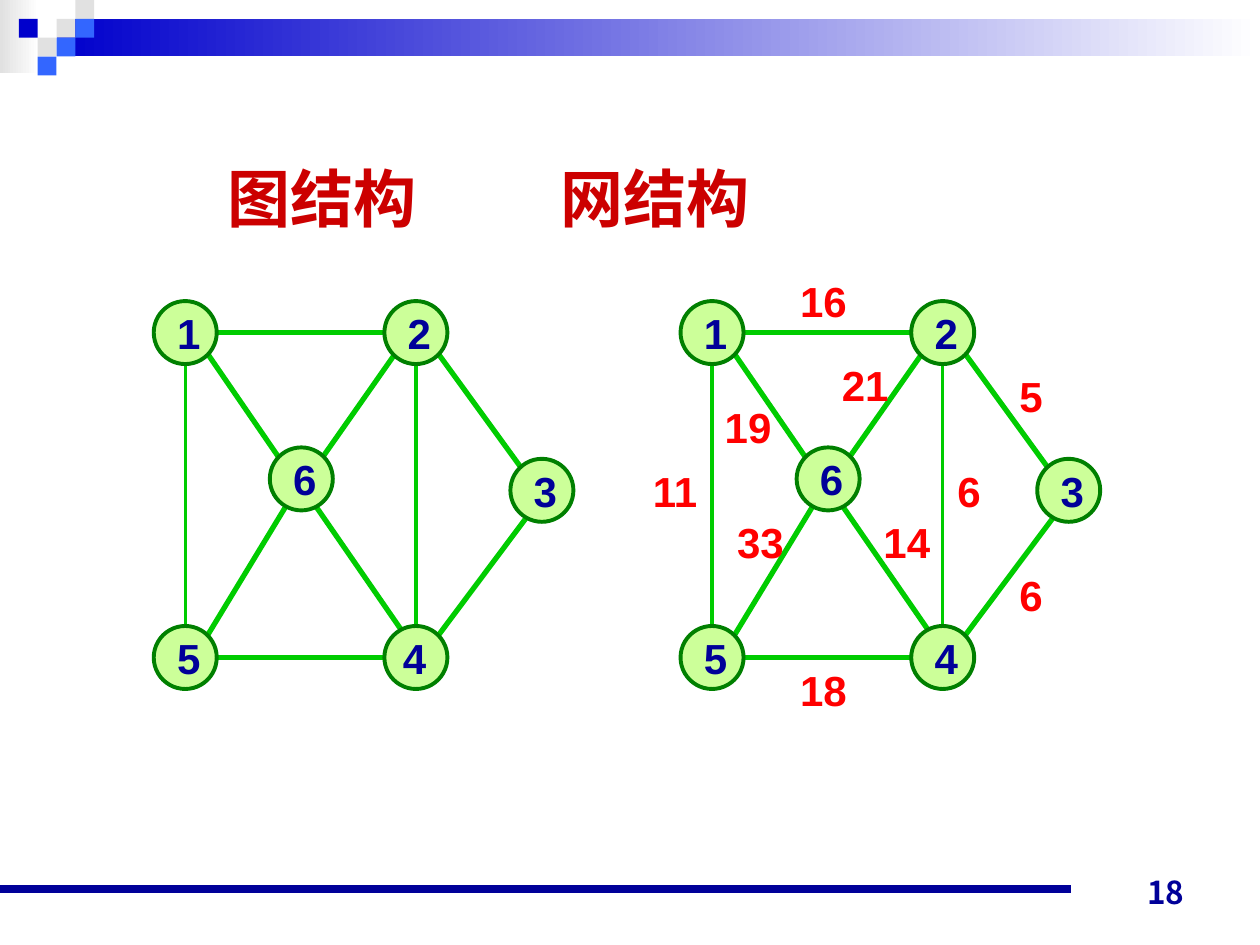
"""Builds a slide that sets a plain graph beside its weighted network."""
from dataclasses import dataclass

from lxml.etree import SubElement
from pptx import Presentation
from pptx.dml.color import RGBColor
from pptx.enum.shapes import MSO_CONNECTOR, MSO_SHAPE
from pptx.enum.text import MSO_ANCHOR, MSO_AUTO_SIZE, PP_ALIGN
from pptx.oxml.ns import qn
from pptx.util import Cm, Pt


@dataclass(frozen=True)
class Theme:
    """Colours, fonts and type sizes of the slide."""
    white: str = "FFFFFF"
    grey: str = "E1E1E1"
    deep_blue: str = "0000CC"
    bright_blue: str = "3366FF"
    navy: str = "000099"
    title_red: str = "CC0000"
    weight_red: str = "FF0000"
    edge_green: str = "00CC00"
    node_fill: str = "CCFF99"
    node_line: str = "008000"
    label_font: str = "Arial"
    title_font: str = "Noto Sans CJK SC"
    number_font: str = "Noto Sans CJK JP"
    label_size: int = 24
    title_size: int = 36
    number_size: int = 18


THIN, THICK, RULE = 2.25, 3, 4.5
NODE_SIZE = 1.27
CELL = 0.38
NODES = {
    "1": (0, 0),
    "2": (4.65, 0),
    "3": (7.19, 3.18),
    "4": (4.65, 6.55),
    "5": (0, 6.55),
    "6": (2.34, 2.95),
}
EDGES = [
    ((4.88, 1.04), (3.38, 3.18), THICK, "21", (3, 1.04)),
    ((7.62, 4.22), (5.72, 6.76), THICK, "6", (6.58, 5.28)),
    ((2.74, 4.01), (1.07, 6.76), THICK, "33", (0.89, 4.22)),
    ((3.18, 4.01), (5.08, 6.76), THICK, "14", (3.84, 4.22)),
    ((0.64, 1.27), (0.64, 6.55), THIN, "11", (-0.81, 3.18)),
    ((1.27, 7.19), (4.65, 7.19), THICK, "18", (2.16, 7.19)),
    ((1.27, 0.64), (4.65, 0.64), THICK, "16", (2.16, -0.64)),
    ((5.72, 1.04), (7.42, 3.38), THICK, "5", (6.58, 1.27)),
    ((1.07, 1.04), (2.54, 3.18), THICK, "19", (0.64, 1.9)),
    ((5.28, 1.27), (5.28, 6.55), THIN, "6", (5.33, 3.18)),
]


def assign(target, values):
    """Set each named attribute on the target."""
    for name, value in values.items():
        setattr(target, name, value)


class SlideBuilder:
    """Holds the theme and the current slide, and draws each kind of element."""

    def __init__(self, page, theme):
        """Start drawing on the page itself."""
        self.page = page
        self.theme = theme
        self.shapes = page.shapes

    def shape(self, kind, left, top, width, height, fill, line=None):
        """Add a preset shape with a solid or two-colour fill."""
        box = self.shapes.add_shape(kind, Cm(left), Cm(top), Cm(width), Cm(height))
        box.shadow.inherit = False
        if isinstance(fill, tuple):
            box.fill.gradient()
            box.fill.gradient_angle = 0
            for stop, position, colour in zip(box.fill.gradient_stops, (0, 1), fill):
                stop.position = position
                stop.color.rgb = RGBColor.from_string(colour)
        else:
            box.fill.solid()
            box.fill.fore_color.rgb = RGBColor.from_string(fill)
        if line:
            box.line.color.rgb = RGBColor.from_string(line)
            box.line.width = Pt(THIN)
        else:
            box.line.fill.background()

    def line(self, start, end, colour, width):
        """Add a straight line without a shadow."""
        ends = [Cm(value) for value in (*start, *end)]
        connector = self.shapes.add_connector(MSO_CONNECTOR.STRAIGHT, *ends)
        connector.line.color.rgb = RGBColor.from_string(colour)
        connector.line.width = Pt(width)
        SubElement(connector._element.spPr, qn("a:effectLst"))

    def text(self, words, left, top, width, height, font, size, colour,
             inset=(0.25, 0.13), align=PP_ALIGN.LEFT, tab=None, **frame_values):
        """Add a bold one-line text box."""
        box = self.shapes.add_textbox(Cm(left), Cm(top), Cm(width), Cm(height))
        side, edge = map(Cm, inset)
        assign(box.text_frame, {
            "margin_left": side, "margin_right": side,
            "margin_top": edge, "margin_bottom": edge,
            "word_wrap": False, "auto_size": MSO_AUTO_SIZE.SHAPE_TO_FIT_TEXT,
            **frame_values,
        })
        para = box.text_frame.paragraphs[0]
        para.alignment = align
        if tab:
            stops = SubElement(para._p.get_or_add_pPr(), qn("a:tabLst"))
            SubElement(stops, qn("a:tab"), pos=str(Cm(tab)), algn="l")
        span = para.add_run()
        span.text = words
        assign(span.font, {"name": font, "size": Pt(size), "bold": True})
        span.font.color.rgb = RGBColor.from_string(colour)
        SubElement(span._r.get_or_add_rPr(), qn("a:ea"), typeface=font)

    def label(self, words, left, top, colour):
        """Add a node number or an edge weight."""
        self.text(words, left, top, 0.49 + 0.48 * len(words), NODE_SIZE,
                  self.theme.label_font, self.theme.label_size, colour)

    def graph(self, left, top, weighted=False, nudges=None):
        """Add a grouped graph, with weights on its edges when asked."""
        theme = self.theme
        self.shapes = self.page.shapes.add_group_shape().shapes
        for start, end, width, weight, place in EDGES:
            ends = [(left + x, top + y) for x, y in (start, end)]
            self.line(*ends, theme.edge_green, width)
            if weighted:
                self.label(weight, left + place[0], top + place[1], theme.weight_red)
        for name, (x, y) in NODES.items():
            self.shape(MSO_SHAPE.OVAL, left + x, top + y, NODE_SIZE, NODE_SIZE,
                       theme.node_fill, theme.node_line)
            shift = (nudges or {}).get(name, 0.22)
            self.label(name, left + x + shift, top + y, theme.navy)
        self.shapes = self.page.shapes

    def banner(self):
        """Add the fading bar and the mosaic at the top."""
        theme = self.theme
        grey, deep, bright = theme.grey, theme.deep_blue, theme.bright_blue
        self.shape(MSO_SHAPE.RECTANGLE, 0, 0, 0.79, 1.47, (grey, theme.white))
        self.shape(MSO_SHAPE.RECTANGLE, 1.14, CELL, 24.26, 2 * CELL, (deep, theme.white))
        cells = [(3, 1, grey), (4, 0, grey), (4, 1, bright), (2, 2, grey),
                 (1, 1, deep), (3, 2, bright), (2, 3, bright)]
        for column, row, colour in cells:
            self.shape(MSO_SHAPE.RECTANGLE, column * CELL, row * CELL, CELL, CELL, colour)

    def footer(self, number):
        """Add the rule and the page number at the bottom."""
        theme = self.theme
        self.line((0, 17.93), (21.59, 17.93), theme.navy, RULE)
        self.text(number, 18.21, 17.22, 5.92, 1.27, theme.number_font,
                  theme.number_size, theme.navy, align=PP_ALIGN.RIGHT,
                  word_wrap=True, auto_size=MSO_AUTO_SIZE.NONE,
                  vertical_anchor=MSO_ANCHOR.BOTTOM)


def main():
    """Build the slide and save the deck."""
    deck = Presentation()
    assign(deck, {"slide_width": Cm(25.4), "slide_height": Cm(19.05)})
    theme = Theme()
    builder = SlideBuilder(deck.slides.add_slide(deck.slide_layouts[6]), theme)
    builder.banner()
    builder.footer("18")
    builder.text("图结构\t网结构", 4.29, 3.07, 14.6, 1.83, theme.title_font,
                 theme.title_size, theme.title_red, inset=(0.3, 0.15), tab=6.7,
                 word_wrap=True)
    builder.graph(13.72, 6.07, weighted=True)
    builder.graph(3.1, 6.07, nudges={"4": 0.12})
    deck.save("out.pptx")


if __name__ == "__main__":
    main()
